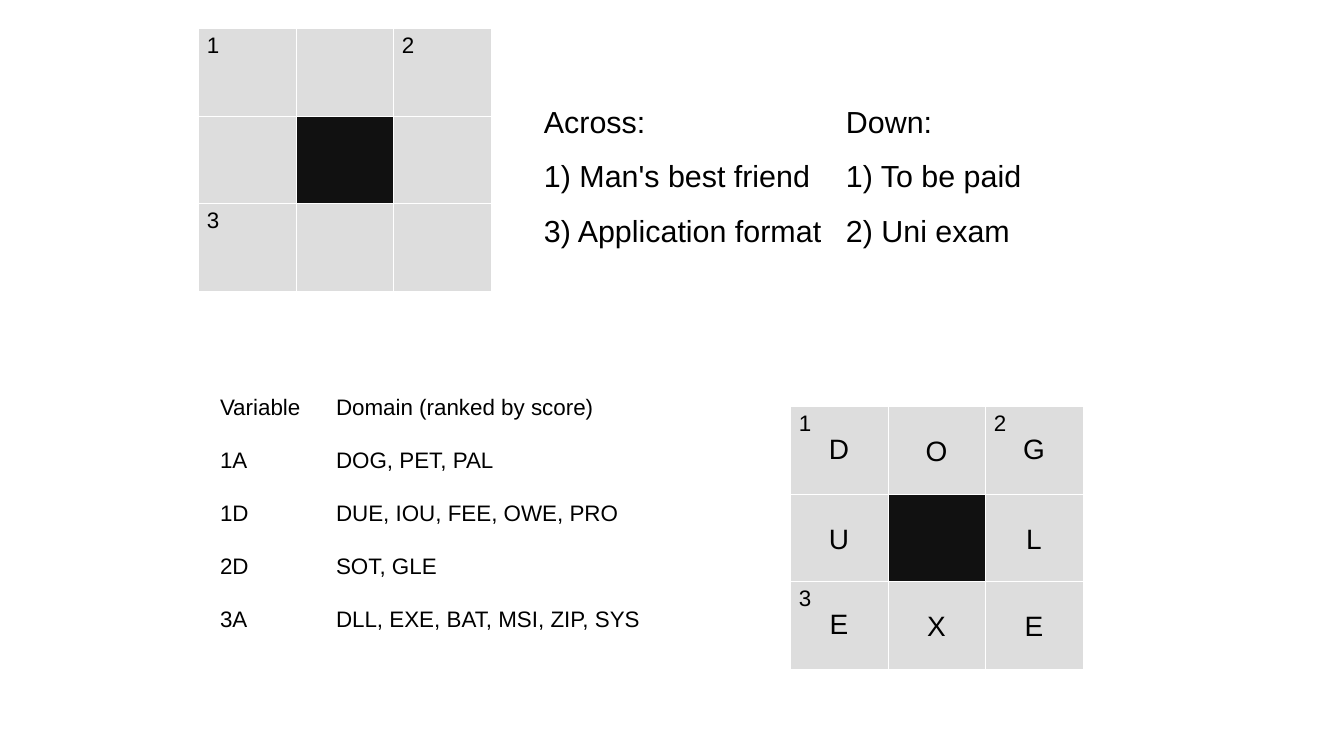
import lxml.etree
import pptx
import pptx.dml.color
import pptx.enum.text
import pptx.oxml.ns
import pptx.util

SCALE = 914400 / 134.4
LEFT = pptx.enum.text.PP_ALIGN.LEFT
CENTER = pptx.enum.text.PP_ALIGN.CENTER


def px(length):
    return pptx.util.Emu(round(length * SCALE))


def color(value):
    return pptx.dml.color.RGBColor.from_string(value)


presentation = pptx.Presentation()
presentation.slide_width = px(1344)
presentation.slide_height = px(756)
slide = presentation.slides.add_slide(presentation.slide_layouts[6])

clues = [
    (544, ["Across:", "1) Man's best friend", "3) Application format"]),
    (846, ["Down:", "1) To be paid", "2) Uni exam"]),
]
for left, lines in clues:
    shape = slide.shapes.add_textbox(px(left), px(101), px(292), px(173))
    frame = shape.text_frame
    frame.word_wrap = True
    frame.margin_left = frame.margin_right = frame.margin_bottom = 0
    frame.margin_top = px(2)
    frame.text = "\n".join(lines)
    for paragraph in frame.paragraphs:
        paragraph.space_after = pptx.util.Pt(9.6)
        properties = paragraph._p.get_or_add_pPr()
        properties.set("marL", str(px(50)))
        properties.set("indent", str(-px(50)))
        font = paragraph.runs[0].font
        font.name = "Arial"
        font.size = pptx.util.Pt(16.3)
        font.color.rgb = color("000000")

grid_columns = [98, 97, 98]
grid_rows = [88, 87, 88]
empty_grid = [["1", "", "2"], ["", "#", ""], ["3", "", ""]]
solved_grid = [["1\nD", "O", "2\nG"], ["U", "#", "L"], ["3\nE", "X", "E"]]
domains = [
    ["Variable", "Domain (ranked by score)"],
    ["1A", "DOG, PET, PAL"],
    ["1D", "DUE, IOU, FEE, OWE, PRO"],
    ["2D", "SOT, GLE"],
    ["3A", "DLL, EXE, BAT, MSI, ZIP, SYS"],
]
tables = [
    (198, 28, grid_columns, grid_rows, empty_grid, "DDDDDD"),
    (211, 390, [116, 442], [53] * 5, domains, "FFFFFF"),
    (790, 406, grid_columns, grid_rows, solved_grid, "DDDDDD"),
]
for left, top, widths, heights, texts, background in tables:
    shape = slide.shapes.add_table(
        len(heights), len(widths), px(left), px(top), px(sum(widths)), px(sum(heights))
    )
    table = shape.table
    table.first_row = False
    table.horz_banding = False
    for column, width in zip(table.columns, widths):
        column.width = px(width)
    for row, height, row_texts in zip(table.rows, heights, texts):
        row.height = px(height)
        for cell, text in zip(row.cells, row_texts):
            blocked = text == "#"
            lone_letter = texts is solved_grid and len(text) == 1
            cell.margin_left = cell.margin_right = px(9)
            cell.margin_top = px(32 if lone_letter else 7)
            cell.margin_bottom = px(4)
            cell_properties = cell._tc.get_or_add_tcPr()
            for side in ("lnL", "lnR", "lnT", "lnB"):
                line = lxml.etree.SubElement(
                    cell_properties, pptx.oxml.ns.qn(f"a:{side}"), w="762"
                )
                fill = lxml.etree.SubElement(line, pptx.oxml.ns.qn("a:solidFill"))
                lxml.etree.SubElement(fill, pptx.oxml.ns.qn("a:srgbClr"), val="FFFFFF")
            cell.fill.solid()
            cell.fill.fore_color.rgb = color("111111" if blocked else background)
            if blocked or not text:
                continue
            cell.text_frame.text = text
            for paragraph in cell.text_frame.paragraphs:
                answer = texts is solved_grid and paragraph.text.isalpha()
                paragraph.alignment = CENTER if answer else LEFT
                paragraph.line_spacing = 0.93
                font = paragraph.runs[0].font
                font.name = "Arial"
                font.size = pptx.util.Pt(15 if answer else 12)
                font.color.rgb = color("000000")

presentation.save("out.pptx")
